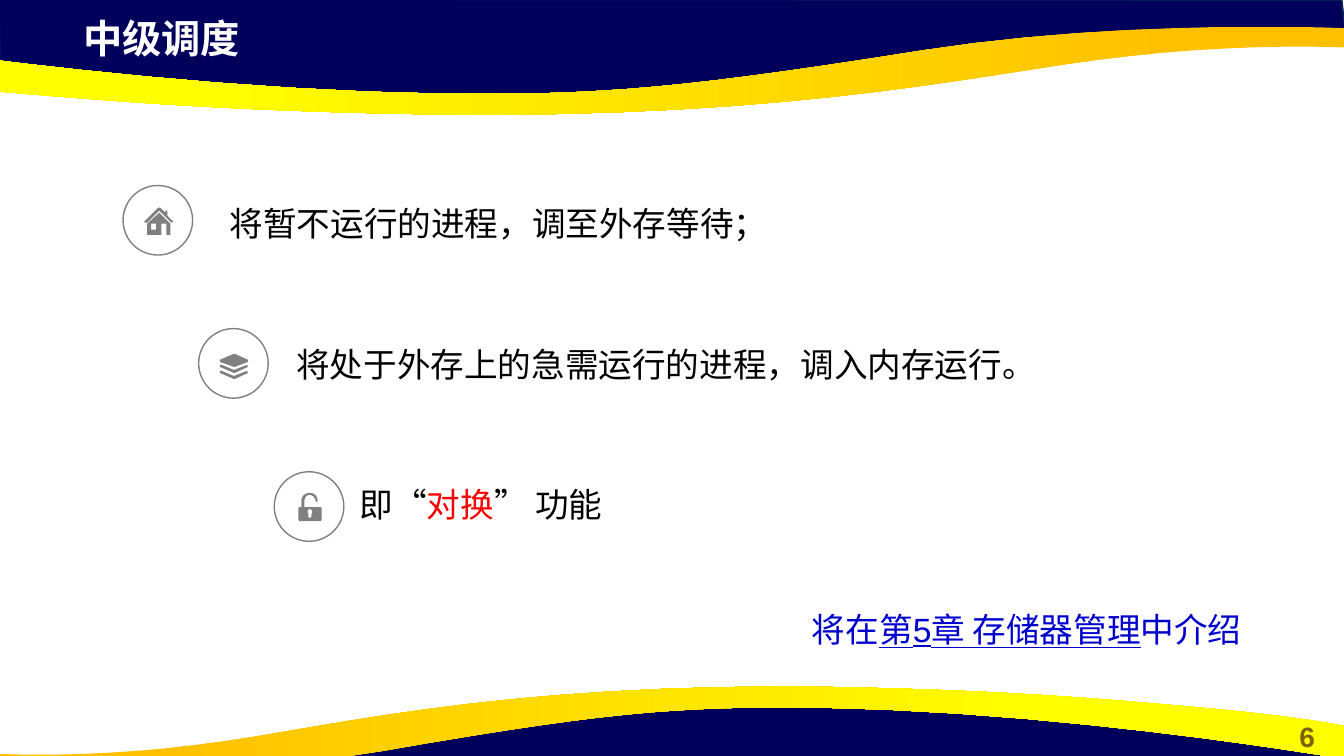
from pptx import Presentation
from pptx.dml.color import RGBColor
from pptx.enum.shapes import MSO_SHAPE as Shape
from pptx.enum.text import MSO_ANCHOR as Anchor, PP_ALIGN as Align
from pptx.util import Inches, Pt

WIDTH, HEIGHT = 13.33, 7.5
COLOURS = {name: RGBColor.from_string(value) for name, value in {
    "navy": "00005C", "edge": "05304F", "orange": "FFC000", "yellow": "FFFF00",
    "grey": "808080", "white": "FFFFFF", "black": "000000", "red": "FF0000",
    "blue": "0000CC", "page": "806000"}.items()}

deck = Presentation()
deck.slide_width, deck.slide_height = Inches(WIDTH), Inches(HEIGHT)
page = deck.slides.add_slide(deck.slide_layouts[6])


def add_outline(contours, left=0, top=0):
    """Draw closed contours; a pair is a corner, six numbers are a Bezier curve."""
    builder = None
    for start, *segments in contours:
        points = [start]
        for segment in segments:
            if len(segment) == 2:
                points.append(segment)
                continue
            knots = [points[-1], segment[:2], segment[2:4], segment[4:]]
            for step in range(1, 13):
                t = step / 12
                weights = (1 - t) ** 3, 3 * t * (1 - t) ** 2, 3 * t * t * (1 - t), t ** 3
                points.append([sum(w * k[axis] for w, k in zip(weights, knots))
                               for axis in (0, 1)])
        points = [(Inches(left + x), Inches(top + y)) for x, y in points]
        if builder is None:
            builder = page.shapes.build_freeform(*points[0])
        else:
            builder.move_to(*points[0])
        builder.add_line_segments(points[1:], close=True)
    shape = builder.convert_to_shape()
    shape.shadow.inherit = False
    shape.line.fill.background()
    return shape


def add_text(place, spans, size=24, bold=False, anchor=Anchor.TOP, align=Align.LEFT):
    """Write one paragraph of (text, colour, underline) spans."""
    box = page.shapes.add_textbox(*map(Inches, place))
    frame = box.text_frame
    frame.word_wrap, frame.vertical_anchor = True, anchor
    para = frame.paragraphs[0]
    para.alignment = align
    para.font.name, para.font.size, para.font.bold = "Arial", Pt(size), bold
    for text, colour, underline in spans:
        span = para.add_run()
        span.text = text
        span.font.color.rgb = COLOURS[colour]
        if underline:
            span.font.underline = True


# Header and footer: the footer is the header turned half round
header = [(-0.01, -0.01), (0, 0.7), (2.93, 1.02), (5.59, 1), (7.95, 0.88),
          (10.16, 0.5), (12.38, 0.33), (13.35, 0.38), (13.31, 0)]
ribbon = [(4.83, 1.14), (4.43, 1.14, 4.01, 1.13, 3.56, 1.12),
          (2.06, 1.08, 1.1, 1, 0.36, 0.94), (-0.88, 0.84, -1.3, 0.75, -1.33, 0.75),
          (-1.33, 0.42), (-1.33, 0.42, 2.18, 0.98, 5.17, 0.93),
          (6.26, 0.91, 7.08, 0.83, 9.15, 0.5), (11.21, 0.18, 13.33, 0.28, 13.33, 0.28),
          (13.33, 0.47), (13.3, 0.47), (13.05, 0.46, 11.95, 0.43, 10.55, 0.64),
          (9.18, 0.85, 7.62, 1.13, 4.83, 1.14)]
footer = [(13.32 - x, 7.93 - y) for x, y in header]
shrink = 0.91  # the lower ribbon spans only the slide's width
lower_ribbon = [[7.95 - value if place % 2 else WIDTH - (value + 1.33) * shrink
                 for place, value in enumerate(segment)] for segment in ribbon]

for panel, band, angle in ((header, ribbon, 180), (footer, lower_ribbon, 0)):
    shape = add_outline([panel])
    shape.fill.solid()
    shape.fill.fore_color.rgb = COLOURS["navy"]
    shape.line.color.rgb = COLOURS["edge"]
    shape.line.width = Pt(1)
    fill = add_outline([band]).fill
    fill.gradient()
    fill.gradient_angle = angle
    for stop, colour, position in zip(fill.gradient_stops, ("orange", "yellow"), (0.11, 0.78)):
        stop.color.rgb = COLOURS[colour]
        stop.position = position

add_text((12.6, 7.09, 0.73, 0.44), [("6", "page", False)], 20, True, align=Align.CENTER)
add_text((0.73, 0.09, 7.68, 0.57), [("中级调度", "white", False)], 28, True)

# Icons, measured from the corner of their circle
house = [[(0.21, 0.36), (0.35, 0.22), (0.37, 0.22), (0.42, 0.27), (0.42, 0.25), (0.44, 0.25),
          (0.44, 0.3), (0.5, 0.36), (0.48, 0.37), (0.36, 0.25), (0.24, 0.37), (0.22, 0.37)],
         [(0.24, 0.38), (0.36, 0.27), (0.47, 0.38), (0.47, 0.49), (0.43, 0.49),
          (0.43, 0.38), (0.38, 0.38), (0.38, 0.49), (0.24, 0.49)],
         [(0.28, 0.38), (0.33, 0.38), (0.33, 0.44), (0.28, 0.44)]]
layers = [[(0.21, 0.31), (0.35, 0.25), (0.36, 0.25), (0.49, 0.31), (0.49, 0.33),
           (0.36, 0.38), (0.35, 0.38), (0.21, 0.33)]]
layers += [[(0.21, y), (0.23, y), (0.35, y + 0.05), (0.48, y), (0.49, y + 0.02),
            (0.36, y + 0.08), (0.35, y + 0.08), (0.21, y + 0.02)] for y in (0.36, 0.42)]
padlock = [[(0.24, 0.36), (0.25, 0.35), (0.27, 0.35), (0.27, 0.29),
            (0.27, 0.24, 0.31, 0.21, 0.35, 0.21), (0.4, 0.21, 0.43, 0.24, 0.43, 0.29),
            (0.42, 0.3), (0.41, 0.29), (0.41, 0.26, 0.38, 0.23, 0.35, 0.23),
            (0.32, 0.23, 0.3, 0.26, 0.3, 0.29), (0.3, 0.35), (0.46, 0.35),
            (0.47, 0.36), (0.47, 0.48), (0.46, 0.49), (0.25, 0.49), (0.24, 0.48)],
           [(0.35, 0.37), (0.34, 0.37, 0.33, 0.39, 0.33, 0.4), (0.34, 0.42), (0.34, 0.45),
            (0.35, 0.46), (0.37, 0.45), (0.37, 0.42), (0.38, 0.4),
            (0.38, 0.39, 0.37, 0.37, 0.35, 0.37)]]

items = [
    (house, (2.18, 1.99, 8.67, 0.44), Anchor.MIDDLE,
     [("将暂不运行的进程，调至外存等待；", "black", False)]),
    (layers, (2.84, 3.36, 7.35, 0.4), Anchor.TOP,
     [("将处于外存上的急需运行的进程，调入内存运行。", "black", False)]),
    (padlock, (3.47, 4.78, 4.04, 0.45), Anchor.MIDDLE,
     [("即“", "black", False), ("对换", "red", False), ("” 功能", "black", False)]),
]
for row, (icon, place, anchor, spans) in enumerate(items):
    left, top = 1.22 + 0.75 * row, 1.84 + 1.42 * row
    circle = page.shapes.add_shape(Shape.OVAL, *map(Inches, (left, top, 0.69, 0.69)))
    circle.shadow.inherit = False
    circle.fill.background()
    circle.line.color.rgb = COLOURS["grey"]
    circle.line.width = Pt(1)
    symbol = add_outline(icon, left, top)
    symbol.fill.solid()
    symbol.fill.fore_color.rgb = COLOURS["grey"]
    add_text(place, spans, anchor=anchor)

add_text((7.88, 5.99, 4.61, 0.5),
         [(" 将在", "blue", False), ("第5章 存储器管理", "blue", True), ("中介绍", "blue", False)])

deck.save("out.pptx")
